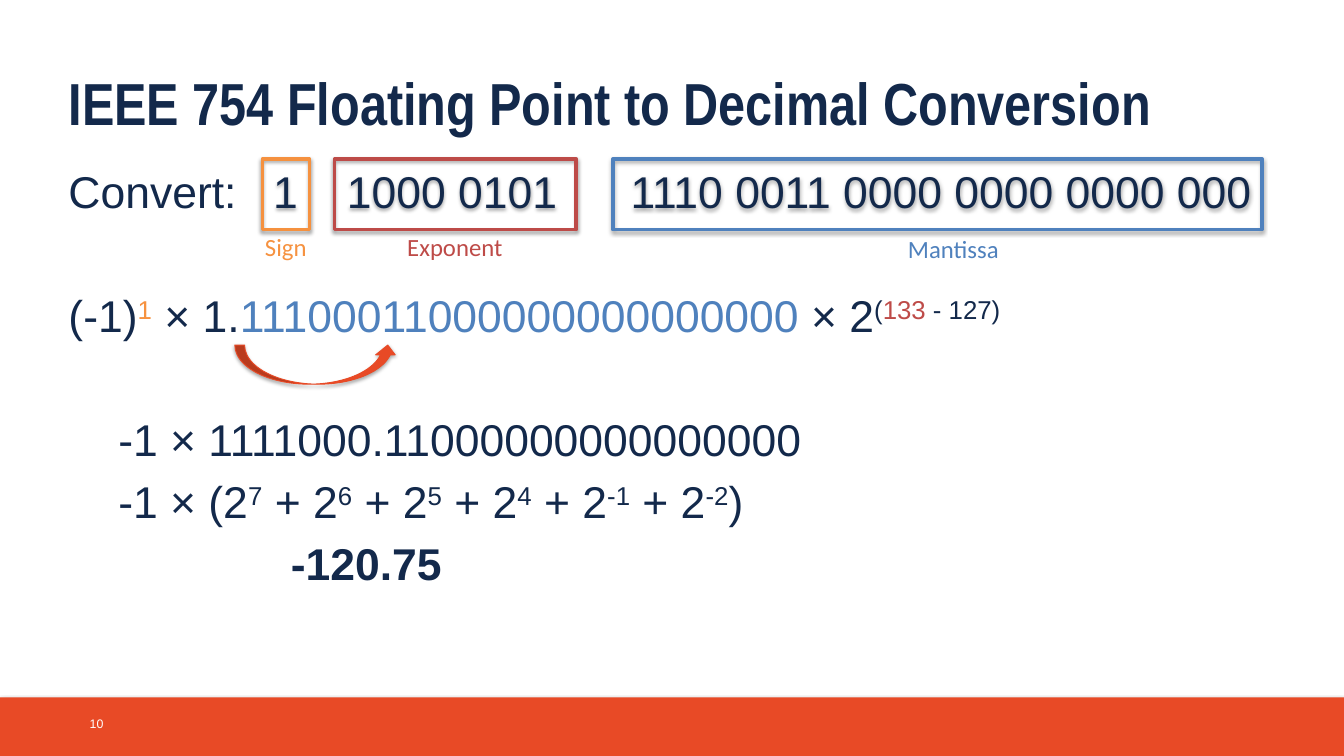
from typing import NamedTuple

from lxml import etree
from pptx import Presentation
from pptx.dml.color import RGBColor
from pptx.enum.shapes import MSO_SHAPE as Preset
from pptx.enum.text import MSO_ANCHOR as Anchor, MSO_AUTO_SIZE as AutoSize, PP_ALIGN as Align
from pptx.oxml.ns import qn
from pptx.shapes.autoshape import Shape
from pptx.util import Inches, Pt

NAVY, ORANGE, WHITE = "13294B", "E84A26", "FFFFFF"
SIGN, EXPONENT, MANTISSA = "F69240", "BE4B48", "4F81BD"
FIELD_TOP, FIELD_HEIGHT = 1.79, 0.79
LINE_GAP, SECTION_GAP = 7, 57.5


class Piece(NamedTuple):
    text: str
    color: str = ""
    raised: bool = False
    bold: bool = False


class Line(NamedTuple):
    pieces: list[Piece]
    gap: float = LINE_GAP
    indent: float = 0


class BitField(NamedTuple):
    name: str
    bits: str
    left: float
    width: float
    inset: float
    outline: str
    color: str
    label_left: float
    label_top: float
    label_width: float


def rgb(color: str) -> RGBColor:
    return RGBColor.from_string(color)


def set_font(font, name: str, size: float, color: str, bold: bool = False) -> None:
    font.name, font.size, font.bold = name, Pt(size), bold
    font.color.rgb = rgb(color)


def place(shape: Shape, left: float, top: float, width: float, height: float) -> None:
    shape.left, shape.top = Inches(left), Inches(top)
    shape.width, shape.height = Inches(width), Inches(height)


def add_shadow(shape: Shape) -> None:
    shape.shadow.inherit = False
    effects = shape._element.spPr.find(qn("a:effectLst"))
    outer = etree.SubElement(effects, qn("a:outerShdw"), blurRad=str(Pt(3.1)),
                             dist=str(Pt(1.8)), dir="5400000", rotWithShape="0")
    color = etree.SubElement(outer, qn("a:srgbClr"), val="000000")
    etree.SubElement(color, qn("a:alpha"), val="35000")


def add_figure(preset: Preset, left: float, top: float, width: float, height: float,
               fill: str = "", outline: str = "", weight: float = 0) -> Shape:
    figure = slide.shapes.add_shape(preset, Inches(left), Inches(top),
                                    Inches(width), Inches(height))
    if fill:
        figure.fill.solid()
        figure.fill.fore_color.rgb = rgb(fill)
    else:
        figure.fill.background()
    if outline:
        figure.line.color.rgb = rgb(outline)
        figure.line.width = Pt(weight)
    else:
        figure.line.fill.background()
    add_shadow(figure)
    return figure


def add_label(text: str, left: float, top: float, width: float, height: float,
              font: str, size: float, color: str, anchor: Anchor = Anchor.TOP) -> None:
    frame = slide.shapes.add_textbox(Inches(left), Inches(top),
                                     Inches(width), Inches(height)).text_frame
    frame.word_wrap, frame.vertical_anchor = True, anchor
    frame.text = text
    set_font(frame.paragraphs[0].font, font, size, color)


def add_bit_field(field: BitField) -> None:
    box = add_figure(Preset.RECTANGLE, field.left, FIELD_TOP, field.width, FIELD_HEIGHT,
                     outline=field.outline, weight=3)
    frame = box.text_frame
    frame.word_wrap, frame.vertical_anchor = False, Anchor.TOP
    frame.margin_left, frame.margin_right = Inches(field.inset), 0
    frame.text = field.bits
    frame.paragraphs[0].alignment = Align.LEFT
    set_font(frame.paragraphs[0].font, "Arial", 36, NAVY)
    add_label(field.name, field.label_left, field.label_top, field.label_width, 0.44,
              "Calibri", 20, field.color)


def write_line(paragraph, line: Line) -> None:
    properties = paragraph._p.get_or_add_pPr()
    properties.set("marL", str(Inches(line.indent)))
    properties.set("indent", "0")
    etree.SubElement(properties, qn("a:buNone"))
    paragraph.space_before = Pt(line.gap)
    set_font(paragraph.font, "Arial", 36, NAVY)
    for piece in line.pieces:
        run = paragraph.add_run()
        run.text = piece.text
        if piece.color:
            run.font.color.rgb = rgb(piece.color)
        if piece.bold:
            run.font.bold = True
        if piece.raised:
            run._r.get_or_add_rPr().set("baseline", "30000")


presentation = Presentation()
presentation.slide_width, presentation.slide_height = Inches(15.11), Inches(8.5)
slide = presentation.slides.add_slide(presentation.slide_layouts[1])

# Footer band and page number
add_figure(Preset.RECTANGLE, 0, 7.84, 15.11, 0.66, fill=ORANGE)
add_label("10", 0.91, 7.91, 0.58, 0.45, "Arial", 10, WHITE, Anchor.MIDDLE)

# Title
title = slide.shapes.title
place(title, 0.67, 0.69, 13.81, 0.79)
title.text_frame.text = "IEEE 754 Floating Point to Decimal Conversion"
title.text_frame.vertical_anchor = Anchor.TOP
title.text_frame.auto_size = AutoSize.NONE
heading = title.text_frame.paragraphs[0]
heading.alignment = Align.LEFT
set_font(heading.font, "Arial Narrow", 48, NAVY, bold=True)

# Conversion steps
power_sum = [Piece("-1 × (2")]
for power in (7, 6, 5, 4, -1, -2):
    power_sum += [Piece(str(power), raised=True), Piece(" + 2")]
power_sum[-1] = Piece(")")

steps = [
    Line([Piece("Convert:")], gap=0),
    Line([Piece("(-1)"), Piece("1", SIGN, raised=True), Piece(" × 1."),
          Piece("11100011000000000000000", MANTISSA), Piece(" × 2"),
          Piece("(", raised=True), Piece("133", EXPONENT, raised=True),
          Piece(" - 127)", raised=True)], gap=SECTION_GAP),
    Line([Piece("-1 × 1111000.11000000000000000")], gap=SECTION_GAP, indent=0.56),
    Line(power_sum, indent=0.56),
    Line([Piece("-120.75", bold=True)], indent=2.5),
]
body = slide.placeholders[1]
place(body, 0.67, 1.79, 13.89, 5.56)
body.text_frame.auto_size = AutoSize.NONE
for number, step in enumerate(steps):
    frame = body.text_frame
    write_line(frame.add_paragraph() if number else frame.paragraphs[0], step)

# Bit fields with their labels
bit_fields = [
    BitField("Sign", "1", 2.95, 0.53, 0.12, "F5913F", SIGN, 2.88, 2.56, 0.68),
    BitField("Exponent", "1000 0101", 3.76, 2.72, 0.14, "BD4B48", EXPONENT,
             4.48, 2.56, 1.28),
    BitField("Mantissa", "1110 0011 0000 0000 0000 000", 6.89, 7.3, 0.2, MANTISSA,
             MANTISSA, 10.11, 2.58, 1.24),
]
for bit_field in bit_fields:
    add_bit_field(bit_field)

# Arrow for the shift of the binary point
add_figure(Preset.CURVED_UP_ARROW, 2.64, 3.88, 1.83, 0.44,
           fill=ORANGE, outline=ORANGE, weight=0.75)

presentation.save("out.pptx")
